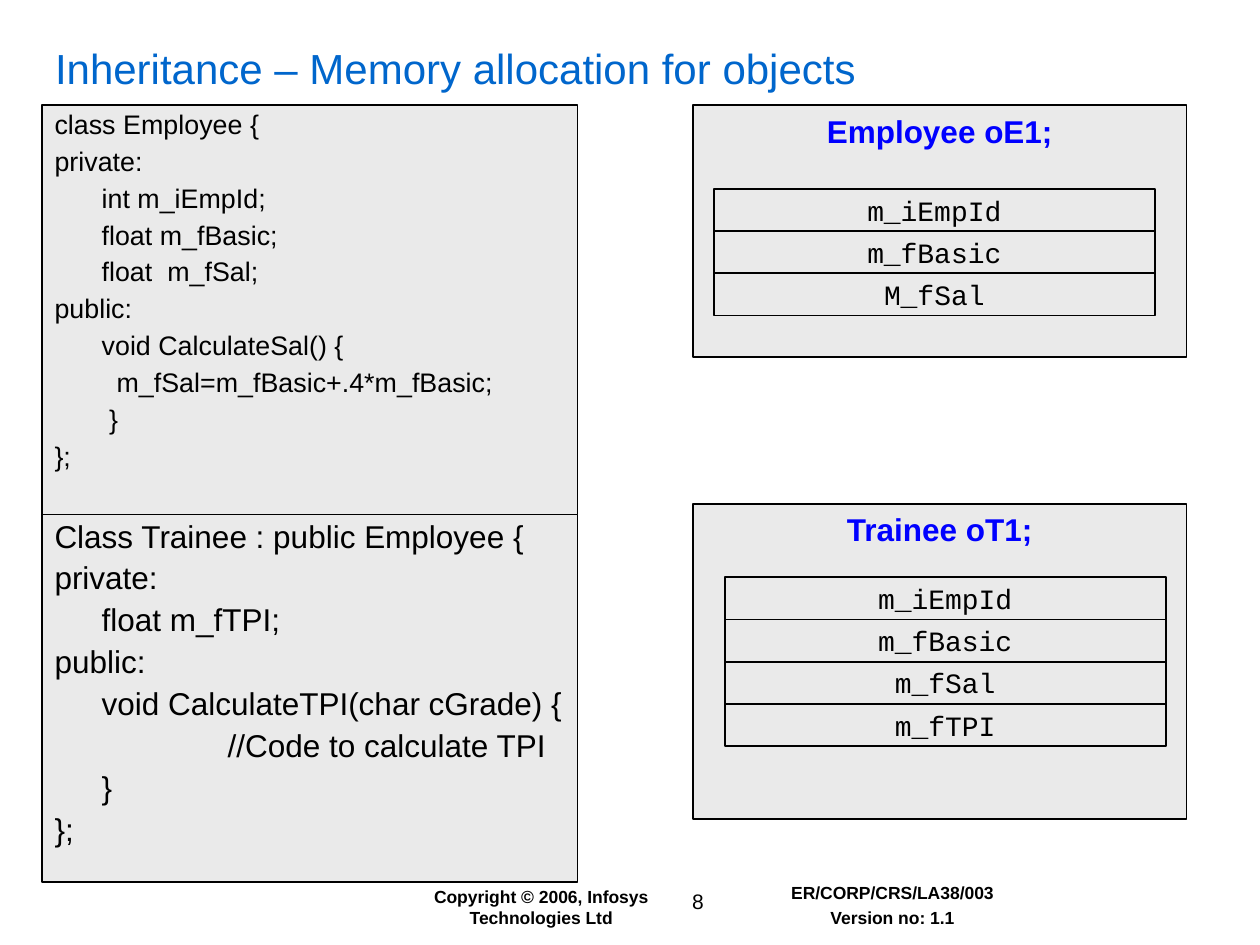
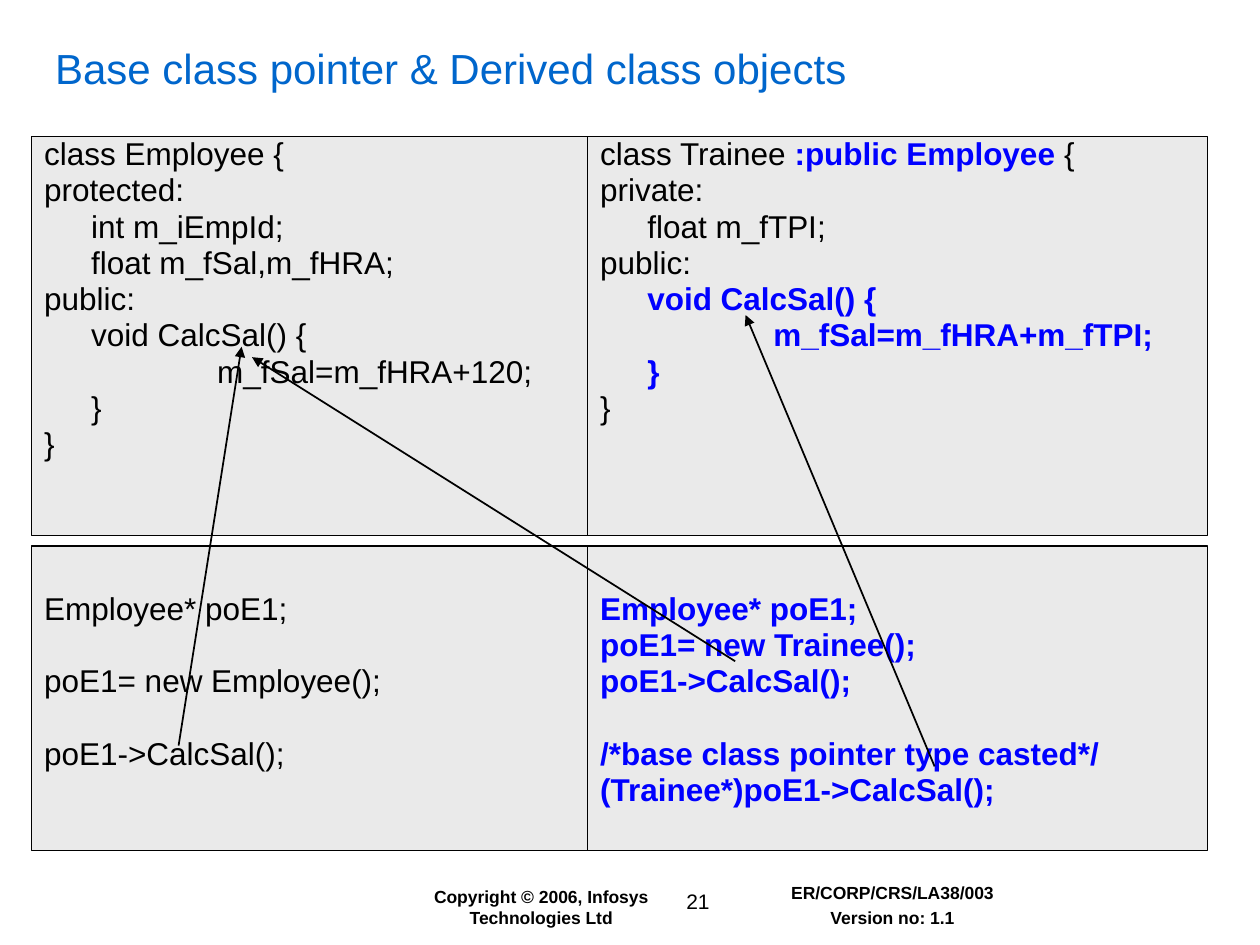
from lxml.etree import SubElement
from pptx import Presentation
from pptx.dml.color import RGBColor
from pptx.enum.shapes import MSO_CONNECTOR, MSO_SHAPE
from pptx.enum.text import MSO_ANCHOR, MSO_AUTO_SIZE, PP_ALIGN
from pptx.oxml.ns import qn
from pptx.util import Cm, Pt

# Shared colours
TITLE_BLUE = RGBColor(0x00, 0x66, 0xCC)
CODE_BLUE = RGBColor(0x00, 0x00, 0xFF)
BLACK = RGBColor(0x00, 0x00, 0x00)
PANEL_GREY = RGBColor(0xEA, 0xEA, 0xEA)

# Shared text styles
TITLE = {"name": "Arial", "size": Pt(24), "color": TITLE_BLUE}
CODE = {"name": "Arial", "size": Pt(18), "bold": False, "color": BLACK}
SMALL_CODE = {**CODE, "size": Pt(15.3)}
KEY_CODE = {**CODE, "bold": True, "color": CODE_BLUE}
MEMBER = {"name": "Courier New", "size": Pt(16), "color": BLACK}
FOOTER = {"name": "Arial", "size": Pt(10), "bold": True, "color": BLACK}
PAGE_NUMBER = {"name": "Arial", "size": Pt(12), "color": BLACK}

# Left margin in cm for each nesting depth of code
CODE_INDENTS = (0, 0.95, 3.49)
LINE_GAP = 4.5
BLANK_LINE_GAP = 25.25
MEMBER_HEIGHT = 0.85
MEMBER_WIDTH = 8.89


def add_span(para, text, style):
    span = para.add_run()
    span.text = text
    for name, value in style.items():
        if name == "color":
            span.font.color.rgb = value
        else:
            setattr(span.font, name, value)


def set_frame(shape, anchor=MSO_ANCHOR.TOP, margin_top=0.13):
    frame = shape.text_frame
    settings = {
        "word_wrap": True,
        "auto_size": MSO_AUTO_SIZE.NONE,
        "vertical_anchor": anchor,
        "margin_left": Cm(0.25),
        "margin_right": Cm(0.25),
        "margin_top": Cm(margin_top),
        "margin_bottom": Cm(0.13),
    }
    for name, value in settings.items():
        setattr(frame, name, value)
    return frame


def next_para(frame, index, gap):
    """Return the paragraph at index; only later ones get space before."""
    if index == 0:
        return frame.paragraphs[0]
    para = frame.add_paragraph()
    para.space_before = Pt(gap)
    return para


def add_centred(frame, lines, style, gap=0):
    for index, line in enumerate(lines):
        para = next_para(frame, index, gap)
        para.alignment = PP_ALIGN.CENTER
        add_span(para, line, style)


def add_panel(page, box, line_width=0.75):
    panel = page.shapes.add_shape(MSO_SHAPE.RECTANGLE, *map(Cm, box))
    panel.shadow.inherit = False
    panel.fill.solid()
    panel.fill.fore_color.rgb = PANEL_GREY
    panel.line.color.rgb = BLACK
    panel.line.width = Pt(line_width)
    return panel


def add_code(page, box, lines, style=CODE, spacing=0.9, margin_top=0.13):
    """Each line is (depth, text or styled spans[, gap before])."""
    frame = set_frame(add_panel(page, box), margin_top=margin_top)
    for index, (depth, content, *gap) in enumerate(lines):
        para = next_para(frame, index, gap[0] if gap else LINE_GAP)
        para.alignment = PP_ALIGN.LEFT
        para.line_spacing = spacing
        para._p.get_or_add_pPr().set("marL", str(Cm(CODE_INDENTS[depth])))
        spans = [(content, style)] if isinstance(content, str) else content
        for text, span_style in spans:
            add_span(para, text, span_style)


def add_object(page, box, heading, members, stack_offset):
    """Draw an object's memory: a heading and a stack of member cells."""
    left, top = box[:2]
    add_centred(set_frame(add_panel(page, box)), [heading], KEY_CODE)
    stack_left, stack_top = left + stack_offset[0], top + stack_offset[1]
    for row, member in enumerate(members):
        cell_box = (stack_left, stack_top + row * MEMBER_HEIGHT,
                    MEMBER_WIDTH, MEMBER_HEIGHT)
        cell = add_panel(page, cell_box, line_width=1)
        add_centred(set_frame(cell, MSO_ANCHOR.MIDDLE), [member], MEMBER)


def add_arrow(page, start, end):
    arrow = page.shapes.add_connector(
        MSO_CONNECTOR.STRAIGHT, *map(Cm, (*start, *end)))
    arrow.line.color.rgb = BLACK
    arrow.line.width = Pt(1)
    SubElement(arrow.line._get_or_add_ln(), qn("a:tailEnd"), type="triangle")
    SubElement(arrow._element.spPr, qn("a:effectLst"))


def add_footer(page, number):
    parts = [
        ((8.05, 17.73, 5.72, 1.12),
         ["Copyright © 2006, Infosys Technologies Ltd"], FOOTER),
        ((12.85, 17.78, 2.44, 0.76), [str(number)], PAGE_NUMBER),
        ((14.6, 17.65, 6.78, 1.19),
         ["ER/CORP/CRS/LA38/003", "Version no: 1.1"], FOOTER),
    ]
    for box, lines, style in parts:
        text_box = page.shapes.add_textbox(*map(Cm, box))
        add_centred(set_frame(text_box), lines, style, gap=2.5)


def add_page(deck, heading, number):
    page = deck.slides.add_slide(deck.slide_layouts[5])
    title = page.shapes.title
    title.left, title.top, title.width, title.height = map(
        Cm, (0.86, 0.66, 23.83, 1.42))
    para = set_frame(title, MSO_ANCHOR.MIDDLE).paragraphs[0]
    para.alignment = PP_ALIGN.LEFT
    add_span(para, heading, TITLE)
    add_footer(page, number)
    return page


def build_memory_page(deck):
    page = add_page(deck, "Inheritance – Memory allocation for objects", 8)

    # Class definitions
    add_code(page, (0.85, 2.12, 10.8, 8.47), [
        (0, "class Employee {"),
        (0, "private:"),
        (1, "int m_iEmpId;"),
        (1, "float m_fBasic;"),
        (1, "float  m_fSal;"),
        (0, "public:"),
        (1, "void CalculateSal() {"),
        (1, "  m_fSal=m_fBasic+.4*m_fBasic;"),
        (1, " }"),
        (0, "};"),
    ], SMALL_CODE)
    add_code(page, (0.85, 10.37, 10.8, 7.41), [
        (0, "Class Trainee : public Employee {"),
        (0, "private:"),
        (1, "float m_fTPI;"),
        (0, "public:"),
        (1, "void CalculateTPI(char cGrade) {"),
        (2, "//Code to calculate TPI"),
        (1, "}"),
        (0, "};"),
    ])

    # Objects in memory
    add_object(page, (13.97, 2.12, 9.95, 5.08), "Employee oE1;",
               ["m_iEmpId", "m_fBasic", "M_fSal"], (0.42, 1.69))
    add_object(page, (13.97, 10.16, 9.95, 6.35), "Trainee oT1;",
               ["m_iEmpId", "m_fBasic", "m_fSal", "m_fTPI"], (0.64, 1.48))


def build_pointer_page(deck):
    page = add_page(deck, "Base class pointer & Derived class objects", 21)
    left, middle, left_width, right_width = 0.64, 11.85, 11.21, 12.49
    class_top, class_height = 2.75, 8.04
    usage_top, usage_height = 11.01, 6.14

    # Class definitions
    add_code(page, (left, class_top, left_width, class_height), [
        (0, "class Employee {"),
        (0, "protected:"),
        (1, "int m_iEmpId;"),
        (1, "float m_fSal,m_fHRA;"),
        (0, "public:"),
        (1, "void CalcSal() {"),
        (2, "m_fSal=m_fHRA+120;"),
        (1, "}"),
        (0, "}"),
    ], spacing=0.75)
    add_code(page, (middle, class_top, right_width, class_height), [
        (0, [("class Trainee ", CODE), (":public Employee", KEY_CODE),
             (" {", CODE)]),
        (0, "private:"),
        (1, "float m_fTPI;"),
        (0, "public:"),
        (1, [("void CalcSal() {", KEY_CODE)]),
        (2, [("m_fSal=m_fHRA+m_fTPI;", KEY_CODE)]),
        (1, [("}", KEY_CODE)]),
        (0, "}"),
    ], spacing=0.75)

    # Pointer usage
    add_code(page, (left, usage_top, left_width, usage_height), [
        (0, "Employee* poE1;"),
        (0, "poE1= new Employee();", BLANK_LINE_GAP),
        (0, "poE1->CalcSal();", BLANK_LINE_GAP),
    ], spacing=0.75, margin_top=1.04)
    add_code(page, (middle, usage_top, right_width, usage_height), [
        (0, "Employee* poE1;"),
        (0, "poE1= new Trainee();"),
        (0, "poE1->CalcSal();"),
        (0, "/*base class pointer type casted*/", BLANK_LINE_GAP),
        (0, "(Trainee*)poE1->CalcSal();"),
    ], KEY_CODE, spacing=0.75, margin_top=1.04)

    # Arrows from each call to the method it runs
    for start, end in [
        ((3.6, 15.03), (4.87, 6.99)),
        ((14.82, 13.33), (5.08, 7.2)),
        ((18.84, 15.45), (15.03, 6.35)),
    ]:
        add_arrow(page, start, end)


def main():
    deck = Presentation()
    deck.slide_width, deck.slide_height = Cm(25.4), Cm(19.05)
    build_memory_page(deck)
    build_pointer_page(deck)
    deck.save("out.pptx")


if __name__ == "__main__":
    main()
